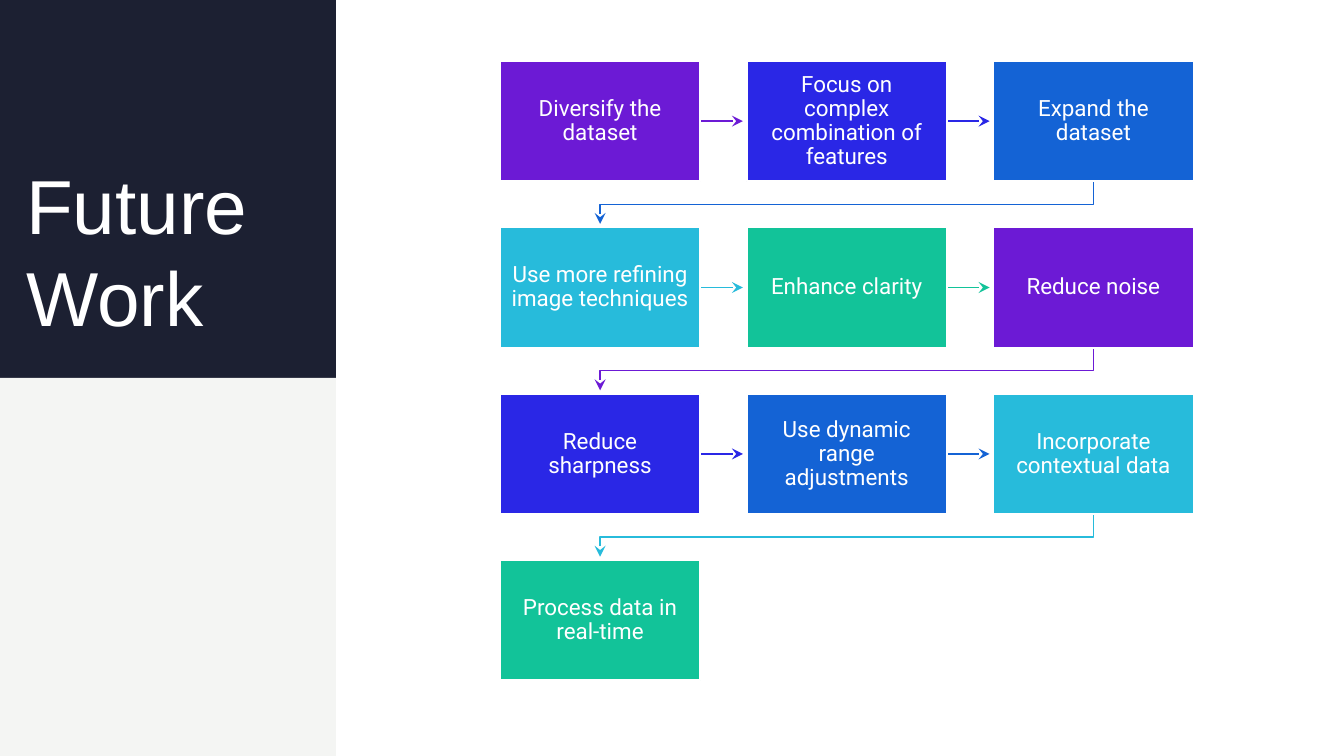
"""Build the Future Work slide: a side title and a snaking chain of ten steps."""
from dataclasses import dataclass

import pptx
import pptx.dml.color
import pptx.enum.shapes
import pptx.enum.text
import pptx.oxml
import pptx.oxml.ns
import pptx.util
from pptx.util import Pt

COLORS = {
    "white": "FFFFFF",
    "navy": "1C2032",
    "mist": "F4F5F3",
    "purple": "6C1AD5",
    "indigo": "2A27E6",
    "blue": "1463D5",
    "cyan": "27BBDB",
    "green": "12C399",
}
CYCLE = ["purple", "indigo", "blue", "cyan", "green"]
STEPS = [
    "Diversify the dataset",
    "Focus on complex combination of features",
    "Expand the dataset",
    "Use more refining image techniques",
    "Enhance clarity",
    "Reduce noise",
    "Reduce sharpness",
    "Use dynamic range adjustments",
    "Incorporate contextual data",
    "Process data in real-time",
]
COLUMNS = 3
GRID_LEFT, GRID_TOP = 267.9, 32.7
STEP_WIDTH, STEP_HEIGHT = 107.2, 64.4
PITCH_X, PITCH_Y = 132.15, 89.15
ARROW_LENGTH, TURN_DROP = 22.9, 12.4


@dataclass
class Box:
    left: float
    top: float
    width: float
    height: float


@dataclass
class Step:
    label: str
    color: str
    box: Box


def rgb(color: str) -> pptx.dml.color.RGBColor:
    """Return the named colour."""
    return pptx.dml.color.RGBColor.from_string(COLORS[color])


def add_panel(slide, box: Box, color: str):
    """Draw a plain filled rectangle."""
    panel = slide.shapes.add_shape(
        pptx.enum.shapes.MSO_SHAPE.RECTANGLE,
        Pt(box.left), Pt(box.top), Pt(box.width), Pt(box.height))
    panel.shadow.inherit = False
    panel.fill.solid()
    panel.fill.fore_color.rgb = rgb(color)
    panel.line.fill.background()
    return panel


def write(frame, text: str, font: str, size: float, inset_x: float, inset_y: float) -> None:
    """Put white wrapped text into a frame."""
    frame.word_wrap = True
    frame.margin_left = frame.margin_right = Pt(inset_x)
    frame.margin_top = frame.margin_bottom = Pt(inset_y)
    frame.text = text
    style = frame.paragraphs[0].runs[0].font
    style.name, style.size = font, Pt(size)
    style.color.rgb = rgb("white")


def add_title(slide, text: str, box: Box) -> None:
    """Write the title at the bottom of its box."""
    title = slide.shapes.add_textbox(
        Pt(box.left), Pt(box.top), Pt(box.width), Pt(box.height))
    write(title.text_frame, text, "Arial", 41, 5.3, 2.7)
    title.text_frame.vertical_anchor = pptx.enum.text.MSO_ANCHOR.BOTTOM


def add_step(slide, step: Step) -> None:
    """Draw one step of the chain."""
    card = add_panel(slide, step.box, step.color)
    card.line.color.rgb = rgb("white")
    card.line.width = Pt(1)
    frame = card.text_frame
    write(frame, step.label, "Roboto", 12, 5.3, 5.5)
    frame.vertical_anchor = pptx.enum.text.MSO_ANCHOR.MIDDLE
    frame.paragraphs[0].alignment = pptx.enum.text.PP_ALIGN.CENTER
    frame.paragraphs[0].line_spacing = 0.9


def style_arrow(arrow, color: str) -> None:
    """Give an arrow its line, stealth head and no shadow."""
    arrow.line.color.rgb = rgb(color)
    arrow.line.width = Pt(0.75)
    properties = arrow._element.spPr
    head = pptx.oxml.parse_xml(
        f'<a:tailEnd {pptx.oxml.ns.nsdecls("a")} type="stealth"/>')
    properties.find(pptx.oxml.ns.qn("a:ln")).append(head)
    properties.append(pptx.oxml.parse_xml(
        f'<a:effectLst {pptx.oxml.ns.nsdecls("a")}/>'))


def add_next_arrow(slide, step: Step) -> None:
    """Draw the straight arrow to the next step in the row."""
    start = step.box.left + step.box.width
    middle = Pt(step.box.top + step.box.height / 2)
    style_arrow(slide.shapes.add_connector(
        pptx.enum.shapes.MSO_CONNECTOR.STRAIGHT,
        Pt(start), middle, Pt(start + ARROW_LENGTH), middle), step.color)


def add_return_arrow(slide, step: Step) -> None:
    """Draw the bent arrow from a row's end to the next row's start."""
    start_x = Pt(step.box.left + step.box.width / 2)
    end_x = Pt(GRID_LEFT + STEP_WIDTH / 2)
    bottom = step.box.top + step.box.height
    turn_y = Pt(bottom + TURN_DROP)
    route = slide.shapes.build_freeform(start_x, Pt(bottom))
    route.add_line_segments(
        [(start_x, turn_y), (end_x, turn_y), (end_x, Pt(bottom + ARROW_LENGTH))],
        close=False)
    arrow = route.convert_to_shape()
    arrow.fill.background()
    style_arrow(arrow, step.color)


def main() -> None:
    """Build and save the slide."""
    deck = pptx.Presentation()
    deck.slide_width, deck.slide_height = Pt(720), Pt(405)
    slide = deck.slides.add_slide(deck.slide_layouts[6])

    add_panel(slide, Box(0, 0, 180, 405), "navy")
    add_title(slide, "Future Work", Box(8.8, 21.6, 159.2, 164.2))
    add_panel(slide, Box(0, 202.5, 180, 202.5), "mist")

    for index, label in enumerate(STEPS):
        row, column = divmod(index, COLUMNS)
        box = Box(GRID_LEFT + column * PITCH_X, GRID_TOP + row * PITCH_Y,
                  STEP_WIDTH, STEP_HEIGHT)
        step = Step(label, CYCLE[index % len(CYCLE)], box)
        if index < len(STEPS) - 1:
            add_arrow = add_return_arrow if column == COLUMNS - 1 else add_next_arrow
            add_arrow(slide, step)
        add_step(slide, step)

    deck.save("out.pptx")


if __name__ == "__main__":
    main()
